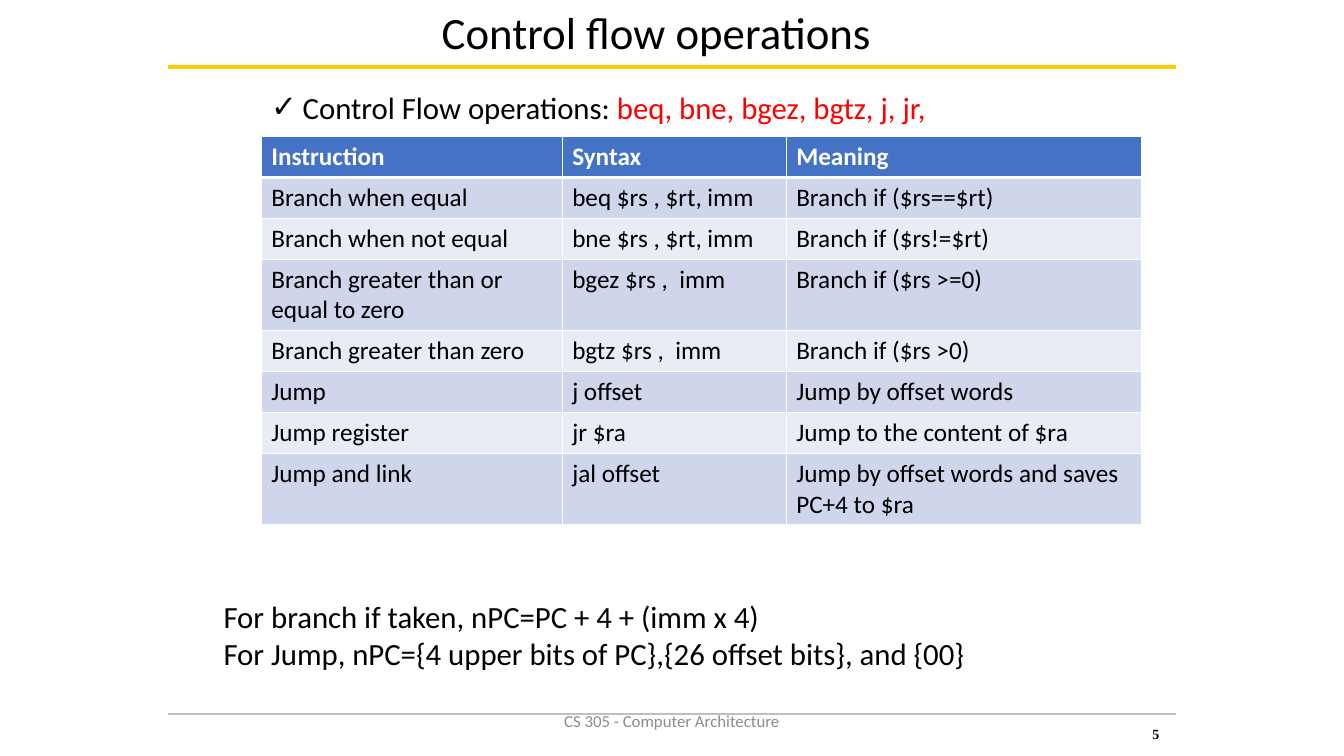
from dataclasses import dataclass
from typing import Optional

from lxml.etree import SubElement
from pptx import Presentation
from pptx.dml.color import RGBColor as RGB
from pptx.enum.shapes import MSO_CONNECTOR as CONN
from pptx.enum.text import MSO_ANCHOR as ANCHOR, MSO_AUTO_SIZE as AUTO, PP_ALIGN as ALIGN
from pptx.oxml import parse_xml
from pptx.oxml.ns import nsdecls, qn
from pptx.util import Pt

COLORS = {
    "text": "000000",
    "accent": "FF0000",
    "footer": "8C8C8C",
    "title_rule": "FFCC00",
    "footer_rule": "BFBFBF",
    "header": "4472C4",
    "band_dark": "CFD5EA",
    "band_light": "E9EBF5",
    "white": "FFFFFF",
}


@dataclass(frozen=True)
class Run:
    text: str
    size: float
    color: str = "text"
    bold: bool = False
    font: str = "Calibri"


@dataclass(frozen=True)
class TextBlock:
    box: tuple[float, float, float, float]
    paragraphs: list[list[Run]]
    align: ALIGN = ALIGN.LEFT
    anchor: ANCHOR = ANCHOR.MIDDLE
    level: int = 0
    margin: float = 0
    indent: float = 0
    bullet: Optional[str] = None


@dataclass(frozen=True)
class Rule:
    y: float
    color: str
    width: float


RULE_LEFT, RULE_RIGHT = 120, 840
RULES = [Rule(48, "title_rule", 3), Rule(510, "footer_rule", 2)]

TITLE = TextBlock((134, 9.4, 669.6, 26.6), [[Run("Control flow operations", 32)]], ALIGN.CENTER)
OPERATIONS = TextBlock(
    (150.5, 59.8, 669, 33.8),
    [[Run("Control Flow operations: ", 22), Run("beq, bne, bgez, bgtz, j, jr,", 22, "accent")]],
    anchor=ANCHOR.TOP, level=1, margin=58.5, indent=-22.5, bullet="✓",
)
TEXT_BOXES = [
    TextBlock(
        (152.6, 423.4, 663, 60.5),
        [[Run("For branch if taken, nPC=PC + 4 + (imm x 4)", 22)],
         [Run("For Jump, nPC={4 upper bits of PC},{26 offset bits}, and {00}", 22)]],
        anchor=ANCHOR.TOP,
    ),
    TextBlock((318, 500.4, 324, 28.8),
              [[Run("CS 305 - Computer Architecture", 12, "footer")]], ALIGN.CENTER),
    TextBlock((780, 516, 72, 16.8),
              [[Run("5", 10, bold=True, font="Times New Roman")]], level=1, margin=36),
]

TABLE_LEFT, TABLE_TOP, ROW_HEIGHT = 186.6, 97.5, 29.2
COLUMN_WIDTHS = [215, 160, 254.2]
INSTRUCTIONS = [
    ("Instruction", "Syntax", "Meaning"),
    ("Branch when equal", "beq $rs , $rt, imm", "Branch if ($rs==$rt)"),
    ("Branch when not equal", "bne $rs , $rt, imm", "Branch if ($rs!=$rt)"),
    ("Branch greater than or equal to zero", "bgez $rs ,  imm", "Branch if ($rs >=0)"),
    ("Branch greater than zero", "bgtz $rs ,  imm", "Branch if ($rs >0)"),
    ("Jump", "j offset", "Jump by offset words"),
    ("Jump register", "jr $ra", "Jump to the content of $ra"),
    ("Jump and link", "jal offset", "Jump by offset words and saves PC+4 to $ra"),
]


def rgb(name: str) -> RGB:
    return RGB.from_string(COLORS[name])


def add_run(p, run: Run) -> None:
    r = p.add_run()
    r.text = run.text
    r.font.name = run.font
    r.font.size = Pt(run.size)
    r.font.bold = run.bold
    r.font.color.rgb = rgb(run.color)


def write_block(sp, block: TextBlock) -> None:
    """Place a placeholder or text box and fill it run by run."""
    sp.left, sp.top, sp.width, sp.height = map(Pt, block.box)
    tf = sp.text_frame
    tf.word_wrap = True
    tf.auto_size = AUTO.NONE
    tf.vertical_anchor = block.anchor
    for i, runs in enumerate(block.paragraphs):
        p = tf.add_paragraph() if i else tf.paragraphs[0]
        p.alignment = block.align
        p.level = block.level
        p.space_before = Pt(0)
        pPr = p._p.get_or_add_pPr()
        pPr.set("marL", str(Pt(block.margin)))
        pPr.set("indent", str(Pt(block.indent)))
        if block.bullet:
            SubElement(pPr, qn("a:buChar")).set("char", block.bullet)
        for run in runs:
            add_run(p, run)


def add_rule(slide, rule: Rule) -> None:
    line = slide.shapes.add_connector(
        CONN.STRAIGHT, Pt(RULE_LEFT), Pt(rule.y), Pt(RULE_RIGHT), Pt(rule.y))
    line.line.color.rgb = rgb(rule.color)
    line.line.width = Pt(rule.width)
    SubElement(line._element.spPr, qn("a:effectLst"))


def set_borders(cell, top: float, bottom: float) -> None:
    """Draw white borders; the side ones are 1 pt wide."""
    tcPr = cell._tc.get_or_add_tcPr()
    widths = {"lnL": 1, "lnR": 1, "lnT": top, "lnB": bottom}
    for i, (tag, width) in enumerate(widths.items()):
        tcPr.insert(i, parse_xml(
            f'<a:{tag} {nsdecls("a")} w="{Pt(width)}"><a:solidFill>'
            f'<a:srgbClr val="{COLORS["white"]}"/></a:solidFill></a:{tag}>'))


def add_instruction_table(slide) -> None:
    n = len(INSTRUCTIONS)
    table = slide.shapes.add_table(
        n, len(COLUMN_WIDTHS), Pt(TABLE_LEFT), Pt(TABLE_TOP),
        Pt(sum(COLUMN_WIDTHS)), Pt(n * ROW_HEIGHT)).table
    for column, width in zip(table.columns, COLUMN_WIDTHS):
        column.width = Pt(width)
    for i, texts in enumerate(INSTRUCTIONS):
        is_header = i == 0
        table.rows[i].height = Pt(ROW_HEIGHT)
        fill = "header" if is_header else ("band_light", "band_dark")[i % 2]
        for j, text in enumerate(texts):
            cell = table.cell(i, j)
            cell.fill.solid()
            cell.fill.fore_color.rgb = rgb(fill)
            set_borders(cell, top=3 if i == 1 else 1, bottom=3 if is_header else 1)
            add_run(cell.text_frame.paragraphs[0],
                    Run(text, 18, "white" if is_header else "text", is_header))


def main() -> None:
    prs = Presentation()
    prs.slide_width, prs.slide_height = Pt(960), Pt(540)
    slide = prs.slides.add_slide(prs.slide_layouts[1])
    for rule in RULES:
        add_rule(slide, rule)
    write_block(slide.shapes.title, TITLE)
    write_block(slide.placeholders[1], OPERATIONS)
    add_instruction_table(slide)
    for block in TEXT_BOXES:
        write_block(slide.shapes.add_textbox(0, 0, 0, 0), block)
    prs.save("out.pptx")


if __name__ == "__main__":
    main()
